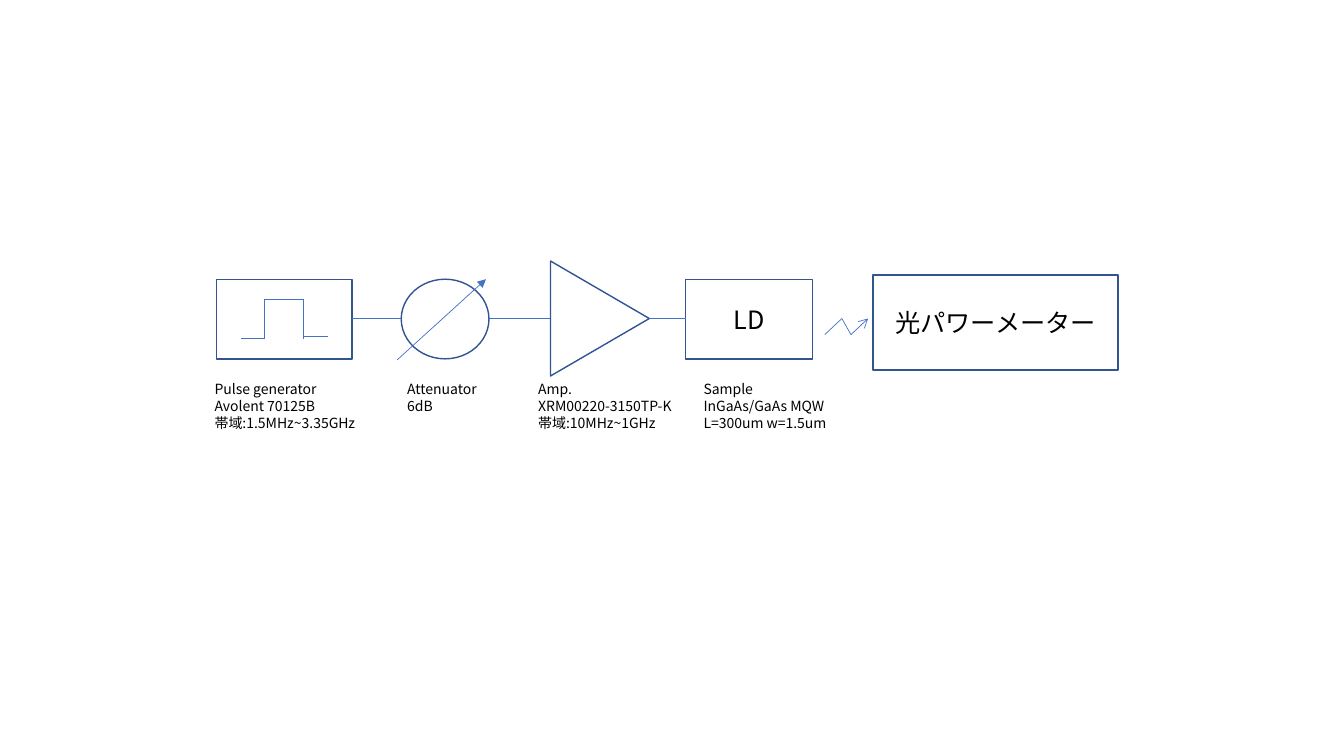
"""Builds a slide with the block diagram of a pulsed laser diode measurement."""
from dataclasses import dataclass
from itertools import pairwise
from typing import Optional

import pptx
import pptx.dml.color
import pptx.enum.shapes
import pptx.enum.text
import pptx.oxml.ns
import pptx.util
from lxml import etree

Inches = pptx.util.Inches
Preset = pptx.enum.shapes.MSO_SHAPE
Point = tuple[float, float]


@dataclass(frozen=True)
class Theme:
    """Colours, font, type sizes and line widths in one place."""
    outline: str = "325491"
    wire: str = "4472C4"
    text: str = "000000"
    font: str = "Noto Sans CJK JP"
    label_size: float = 18
    caption_size: float = 10
    caption_pitch: float = 12
    outline_width: float = 1
    wire_width: float = 0.5


@dataclass(frozen=True)
class Block:
    """An outlined device symbol, placed before rotation."""
    preset: Preset
    left: float
    top: float
    width: float
    height: float
    label: str = ""
    rotation: float = 0


@dataclass(frozen=True)
class Caption:
    """Lines of text below a device."""
    left: float
    width: float
    lines: tuple[str, ...]


@dataclass(frozen=True)
class Trace:
    """A chain of straight segments, with an optional head at its end."""
    points: tuple[Point, ...]
    head: Optional[str] = None


THEME = Theme()
AXIS = 3.16
CAPTION_TOP = 3.73

PULSE_GENERATOR = Block(Preset.RECTANGLE, 2.15, 2.77, 1.34, 0.79)
ATTENUATOR = Block(Preset.OVAL, 3.98, 2.77, 0.87, 0.79)
AMPLIFIER = Block(Preset.ISOSCELES_TRIANGLE, 5.38, 2.67, 1.14, 0.98, rotation=90)
LASER_DIODE = Block(Preset.RECTANGLE, 6.8, 2.77, 1.26, 0.79, "LD")
POWER_METER = Block(Preset.RECTANGLE, 8.66, 2.73, 2.43, 0.94, "光パワーメーター")
WIRED_BLOCKS = (PULSE_GENERATOR, ATTENUATOR, AMPLIFIER, LASER_DIODE)

CAPTIONS = (
    Caption(2.03, 1.65, ("Pulse generator", "Avolent 70125B", "帯域:1.5MHz~3.35GHz")),
    Caption(3.94, 0.94, ("Attenuator", "6dB")),
    Caption(5.24, 2, ("Amp.", "XRM00220-3150TP-K", "帯域:10MHz~1GHz")),
    Caption(6.88, 2, ("Sample", "InGaAs/GaAs MQW", "L=300um w=1.5um")),
)

PULSE = Trace(((2.39, 3.36), (2.62, 3.36), (2.62, 2.97), (3.01, 2.97), (3.01, 3.36)))
PULSE_END = Trace(((3.01, 3.34), (3.25, 3.34)))
ADJUSTMENT = Trace(((3.94, 3.57), (4.82, 2.77)), "triangle")
LIGHT = Trace(((8.18, 3.32), (8.35, AXIS), (8.44, 3.32), (8.61, AXIS)), "arrow")


def colour(code: str) -> pptx.dml.color.RGBColor:
    """Turn a hex code into a colour."""
    return pptx.dml.color.RGBColor.from_string(code)


def add_span(para, text: str, size: float) -> None:
    """Add one run in the theme font, for Latin and Japanese alike."""
    span = para.add_run()
    span.text = text
    span.font.name = THEME.font
    span.font.size = pptx.util.Pt(size)
    span.font.color.rgb = colour(THEME.text)
    east_asian = etree.SubElement(span.font._element, pptx.oxml.ns.qn("a:ea"))
    east_asian.set("typeface", THEME.font)


def add_block(page, block: Block) -> None:
    """Draw an unfilled device symbol with its centred label."""
    shape = page.shapes.add_shape(block.preset, Inches(block.left), Inches(block.top),
                                  Inches(block.width), Inches(block.height))
    shape.rotation = block.rotation
    shape.shadow.inherit = False
    shape.fill.background()
    shape.line.color.rgb = colour(THEME.outline)
    shape.line.width = pptx.util.Pt(THEME.outline_width)
    if block.label:
        shape.text_frame.vertical_anchor = pptx.enum.text.MSO_ANCHOR.MIDDLE
        para = shape.text_frame.paragraphs[0]
        para.alignment = pptx.enum.text.PP_ALIGN.CENTER
        add_span(para, block.label, THEME.label_size)


def add_caption(page, caption: Caption) -> None:
    """Write the lines of a caption as paragraphs."""
    height = 0.1 + len(caption.lines) * THEME.caption_pitch / 72
    box = page.shapes.add_textbox(Inches(caption.left), Inches(CAPTION_TOP),
                                  Inches(caption.width), Inches(height))
    frame = box.text_frame
    frame.word_wrap = True
    for index, line in enumerate(caption.lines):
        para = frame.add_paragraph() if index else frame.paragraphs[0]
        para.line_spacing = pptx.util.Pt(THEME.caption_pitch)
        add_span(para, line, THEME.caption_size)


def add_trace(page, trace: Trace) -> None:
    """Draw a connector between each pair of neighbouring points."""
    for start, end in pairwise(trace.points):
        wire = page.shapes.add_connector(pptx.enum.shapes.MSO_CONNECTOR.STRAIGHT,
                                         *map(Inches, start + end))
        wire.line.color.rgb = colour(THEME.wire)
        wire.line.width = pptx.util.Pt(THEME.wire_width)
        etree.SubElement(wire._element.spPr, pptx.oxml.ns.qn("a:effectLst"))
    if trace.head:
        tail = etree.SubElement(wire.get_or_add_ln(), pptx.oxml.ns.qn("a:tailEnd"))
        tail.set("type", trace.head)


def side_edges(block: Block) -> tuple[float, float]:
    """Give the left and right edges of a block as it shows."""
    centre = block.left + block.width / 2
    half = (block.height if block.rotation else block.width) / 2
    return centre - half, centre + half


def build() -> None:
    """Build the slide and save it."""
    deck = pptx.Presentation()
    deck.slide_width, deck.slide_height = Inches(13.33), Inches(7.5)
    page = deck.slides.add_slide(deck.slide_layouts[6])

    for block in (*WIRED_BLOCKS, POWER_METER):
        add_block(page, block)
    for source, target in pairwise(WIRED_BLOCKS):
        wire_start, wire_end = side_edges(source)[1], side_edges(target)[0]
        add_trace(page, Trace(((wire_start, AXIS), (wire_end, AXIS))))
    for trace in (PULSE, PULSE_END, ADJUSTMENT, LIGHT):
        add_trace(page, trace)
    for caption in CAPTIONS:
        add_caption(page, caption)

    deck.save("out.pptx")


build()
